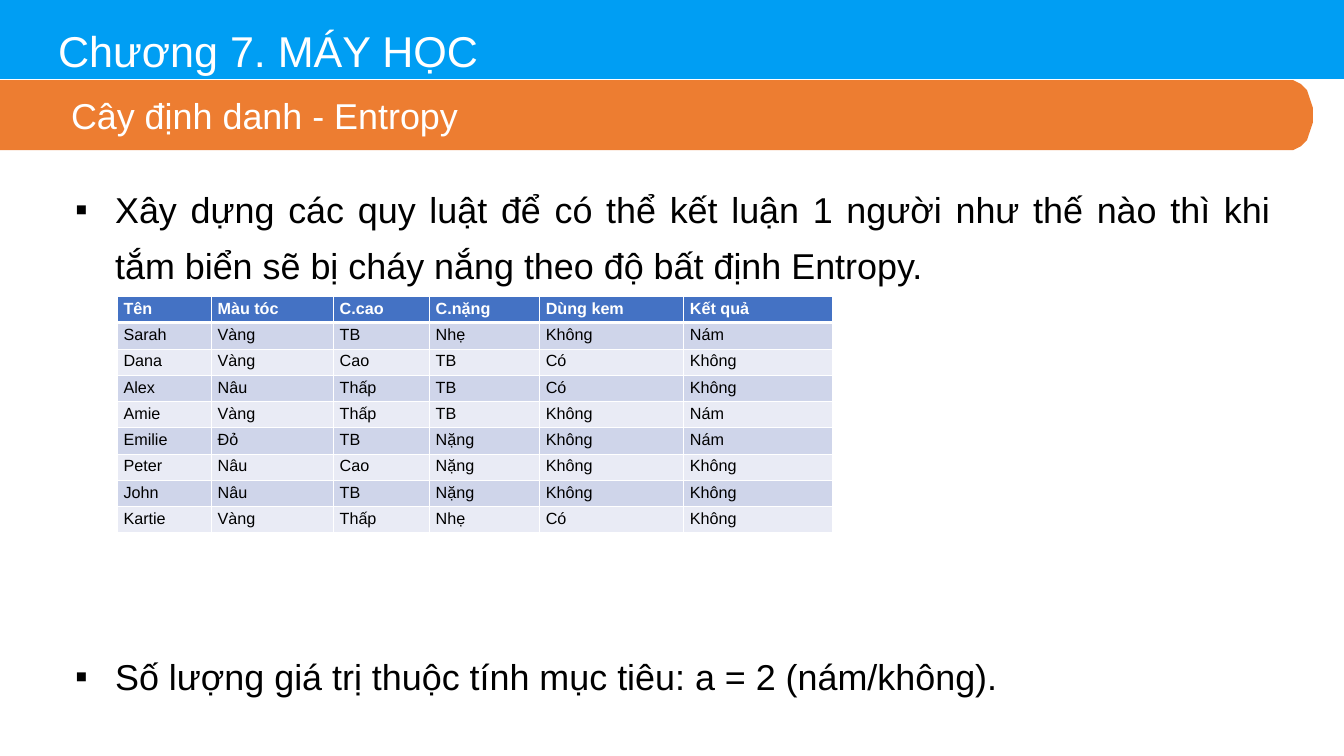
from math import cos, pi, sin

from lxml.etree import SubElement
from pptx import Presentation
from pptx.dml.color import RGBColor
from pptx.enum.text import MSO_ANCHOR, PP_ALIGN
from pptx.oxml.ns import qn
from pptx.util import Pt

PX = 14155  # EMU per px
COLORS = {
    "header": "009EF3",
    "banner": "ED7D31",
    "white": "FFFFFF",
    "text": "000000",
    "table_header": "4472C4",
    "odd_row": "CFD5EA",
    "even_row": "E9EBF5",
}


def style_text(paragraph, text, size, color, bold=False):
    paragraph.text = text
    paragraph.font.name = "Arial"
    paragraph.font.size = Pt(size)
    paragraph.font.bold = bold
    paragraph.font.color.rgb = RGBColor.from_string(COLORS[color])


def add_text_frame(left, top, width, height):
    box = slide.shapes.add_textbox(left * PX, top * PX, width * PX, height * PX)
    frame = box.text_frame
    frame.word_wrap = True
    frame.margin_left = frame.margin_right = frame.margin_bottom = 0
    frame.margin_top = PX
    return frame


presentation = Presentation()
presentation.slide_width = 1343 * PX
presentation.slide_height = 755 * PX
slide = presentation.slides.add_slide(presentation.slide_layouts[6])

# Header bar and banner with an elliptical right end
header_points = [(0, 0), (1343, 0), (1343, 79), (0, 79)]
end_angles = [-pi / 2 + pi * step / 32 for step in range(33)]
banner_end = [(1290 + 22 * cos(angle), 115 + 35 * sin(angle)) for angle in end_angles]
banner_points = [(0, 80), *banner_end, (0, 150)]
for points, color in ((header_points, "header"), (banner_points, "banner")):
    builder = slide.shapes.build_freeform(*points[0], scale=PX)
    builder.add_line_segments(points[1:], close=True)
    shape = builder.convert_to_shape()
    shape.shadow.inherit = False
    shape.fill.solid()
    shape.fill.fore_color.rgb = RGBColor.from_string(COLORS[color])
    shape.line.fill.background()

# Banner text, on the last shape drawn
shape.text_frame.vertical_anchor = MSO_ANCHOR.MIDDLE
paragraph = shape.text_frame.paragraphs[0]
paragraph.alignment = PP_ALIGN.JUSTIFY
paragraph.level = 2
paragraph._p.get_or_add_pPr().set("marL", "914400")
style_text(paragraph, "Cây định danh - Entropy", 40, "white")

# Chapter title
title_frame = add_text_frame(58, 23, 1211, 53)
style_text(title_frame.paragraphs[0], "Chương 7. MÁY HỌC", 48, "white")

# Bulleted statements
statements = [
    (173, 109, "Xây dựng các quy luật để có thể kết luận 1 người như thế nào thì khi "
               "tắm biển sẽ bị cháy nắng theo độ bất định Entropy."),
    (640, 52, "Số lượng giá trị thuộc tính mục tiêu: a = 2 (nám/không)."),
]
for top, height, text in statements:
    paragraph = add_text_frame(74, top, 1195, height).paragraphs[0]
    paragraph.alignment = PP_ALIGN.JUSTIFY
    paragraph.line_spacing = 1.3
    properties = paragraph._p.get_or_add_pPr()
    properties.set("marL", str(41 * PX))
    properties.set("indent", str(-40 * PX))
    SubElement(properties, qn("a:buFont"), typeface="Arial")
    SubElement(properties, qn("a:buChar"), char="▪")
    style_text(paragraph, text, 40, "text")

# Sunburn data table
records = [
    ("Tên", "Màu tóc", "C.cao", "C.nặng", "Dùng kem", "Kết quả"),
    ("Sarah", "Vàng", "TB", "Nhẹ", "Không", "Nám"),
    ("Dana", "Vàng", "Cao", "TB", "Có", "Không"),
    ("Alex", "Nâu", "Thấp", "TB", "Có", "Không"),
    ("Amie", "Vàng", "Thấp", "TB", "Không", "Nám"),
    ("Emilie", "Đỏ", "TB", "Nặng", "Không", "Nám"),
    ("Peter", "Nâu", "Cao", "Nặng", "Không", "Không"),
    ("John", "Nâu", "TB", "Nặng", "Không", "Không"),
    ("Kartie", "Vàng", "Thấp", "Nhẹ", "Có", "Không"),
]
column_widths = [94, 122, 96, 110, 144, 149]
table = slide.shapes.add_table(
    len(records), len(column_widths), 117 * PX, 296 * PX, sum(column_widths) * PX, 236 * PX
).table
for column, width in zip(table.columns, column_widths):
    column.width = width * PX

for row, record in enumerate(records):
    is_header = row == 0
    fill = "table_header" if is_header else "odd_row" if row % 2 else "even_row"
    border_widths = {
        "a:lnL": 1,
        "a:lnR": 1,
        "a:lnT": 3 if row == 1 else 1,
        "a:lnB": 3 if is_header else 1,
    }
    for column, text in enumerate(record):
        cell = table.cell(row, column)
        cell_properties = cell._tc.get_or_add_tcPr()
        for tag, width in border_widths.items():
            border = SubElement(cell_properties, qn(tag), w=str(Pt(width)))
            border_fill = SubElement(border, qn("a:solidFill"))
            SubElement(border_fill, qn("a:srgbClr"), val=COLORS["white"])
        cell.fill.solid()
        cell.fill.fore_color.rgb = RGBColor.from_string(COLORS[fill])
        style_text(cell.text_frame.paragraphs[0], text, 18,
                   "white" if is_header else "text", bold=is_header)

presentation.save("out.pptx")
